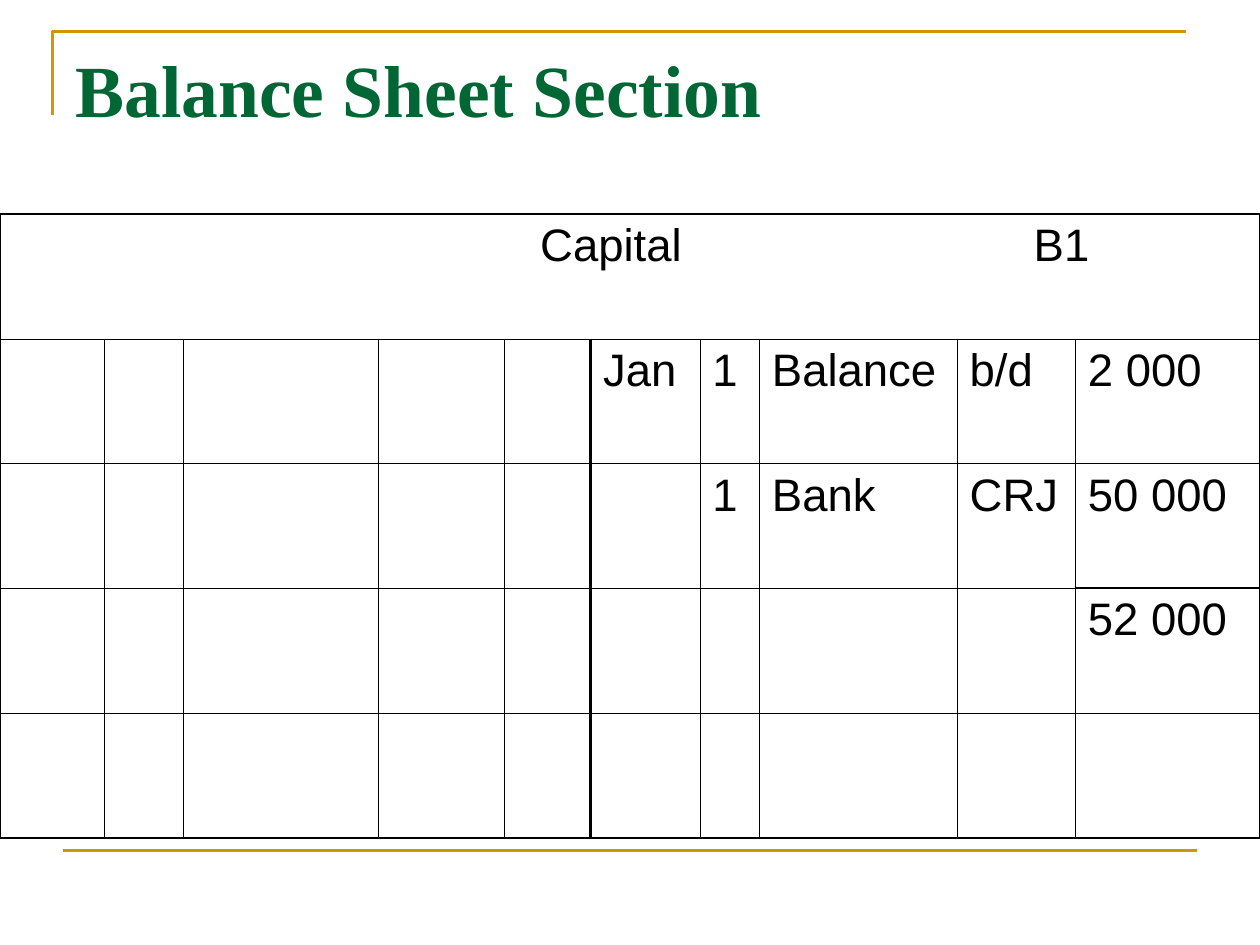
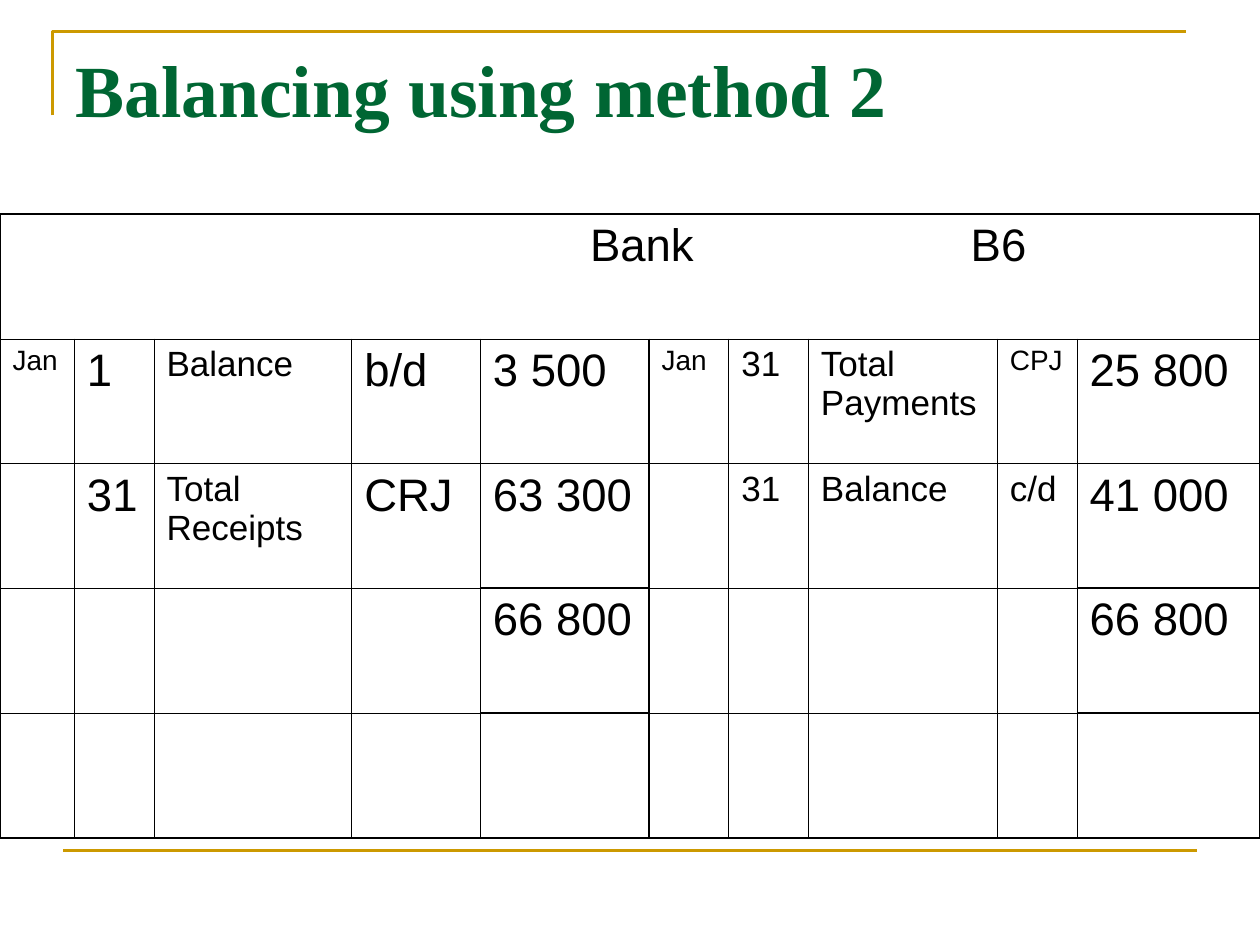
import pptx
import pptx.dml.color
import pptx.enum.shapes
import pptx.enum.text
import pptx.oxml
import pptx.oxml.ns
import pptx.util
from lxml import etree

Pt = pptx.util.Pt
qn = pptx.oxml.ns.qn
GOLD = pptx.dml.color.RGBColor(0xCC, 0x99, 0x00)
GREEN = pptx.dml.color.RGBColor(0x00, 0x66, 0x33)
BLACK = pptx.dml.color.RGBColor(0x00, 0x00, 0x00)

TITLE_FONT = {"name": "Times New Roman", "size": Pt(42), "bold": True}
CELL_FONT = {"name": "Arial", "size": Pt(26), "bold": False}

PAGE_BOX = (0, 0, 720, 540)
TITLE_BOX = (36, 21.6, 648, 90)
LEDGER_BOX = (0, 122.4, 720, 356.4)
ROWS, COLUMNS, CREDIT_SIDE = 5, 10, 5
THIN, OUTER, MIDDLE = 0.45, 1.08, 1.47

# Ledger accounts: entries are (row, column): text or (text, size)
CAPITAL = {
    "title": "Balance Sheet Section",
    "heading": "\tCapital\tB1",
    "tabs": (301.5, 583.5),
    "widths": (59.5, 45.5, 111, 72, 49.5, 62.5, 34, 113, 67.5, 105.5),
    "entries": {
        (1, 5): "Jan", (1, 6): "1", (1, 7): "Balance", (1, 8): "b/d", (1, 9): "2 000",
        (2, 6): "1", (2, 7): "Bank", (2, 8): "CRJ", (2, 9): "50 000",
        (3, 9): "52 000",
    },
    "total_lines": {(3, 9)},
}
BANK = {
    "title": "Balancing using method 2",
    "heading": "\tBank\tB6",
    "tabs": (330, 547.5),
    "widths": (42.5, 45.5, 113, 73.5, 96.5, 45.5, 45.5, 108, 45.5, 104.5),
    "entries": {
        (1, 0): ("Jan", 16), (1, 1): "1", (1, 2): ("Balance", 20),
        (1, 3): "b/d", (1, 4): "3 500",
        (1, 5): ("Jan", 16), (1, 6): ("31", 20), (1, 7): ("Total Payments", 20),
        (1, 8): ("CPJ", 16), (1, 9): "25 800",
        (2, 1): "31", (2, 2): ("Total Receipts", 20), (2, 3): "CRJ", (2, 4): "63 300",
        (2, 6): ("31", 20), (2, 7): ("Balance", 20), (2, 8): ("c/d", 20), (2, 9): "41 000",
        (3, 4): "66 800", (3, 9): "66 800",
    },
    "total_lines": {(row, column) for row in (3, 4) for column in (4, 9)},
}


def format_font(font, color, values):
    for name, value in values.items():
        setattr(font, name, value)
    font.color.rgb = color


def add_frame(page, box):
    """Gold corner above the title and gold rule at the foot."""
    left, top, width, height = box
    corner_left, corner_top = left + 30, top + 18
    builder = page.shapes.build_freeform(Pt(corner_left), Pt(corner_top + 48))
    builder.add_line_segments(
        [(Pt(corner_left), Pt(corner_top)), (Pt(corner_left + 648), Pt(corner_top))],
        close=False)
    corner = builder.convert_to_shape()
    corner.shadow.inherit = False
    corner.fill.background()

    rule_top = Pt(top + height - 54)
    rule = page.shapes.add_connector(
        pptx.enum.shapes.MSO_CONNECTOR.STRAIGHT,
        Pt(left + 36), rule_top, Pt(left + width - 36), rule_top)
    etree.SubElement(rule._element.spPr, qn("a:effectLst"))
    for shape in (corner, rule):
        shape.line.color.rgb = GOLD
        shape.line.width = Pt(1.5)


def add_title(page, box, text):
    title = page.shapes.title
    for name, value in zip(("left", "top", "width", "height"), box):
        setattr(title, name, Pt(value))
    frame = title.text_frame
    frame.auto_size = pptx.enum.text.MSO_AUTO_SIZE.NONE
    frame.vertical_anchor = pptx.enum.text.MSO_ANCHOR.TOP
    para = frame.paragraphs[0]
    para.alignment = pptx.enum.text.PP_ALIGN.LEFT
    span = para.add_run()
    span.text = text
    format_font(span.font, GREEN, TITLE_FONT)


def set_borders(cell, weights):
    """Draw the left, right, top and bottom lines, in that order."""
    properties = cell._tc.get_or_add_tcPr()
    for position, (side, weight) in enumerate(zip("LRTB", weights)):
        line = etree.Element(qn(f"a:ln{side}"), w=str(int(Pt(weight))))
        fill = etree.SubElement(line, qn("a:solidFill"))
        etree.SubElement(fill, qn("a:srgbClr"), val=str(BLACK))
        properties.insert(position, line)


def upright_weight(edge):
    return {0: OUTER, CREDIT_SIDE: MIDDLE, COLUMNS: OUTER}.get(edge, THIN)


def level_weight(edge, column, total_lines):
    return OUTER if edge in (0, ROWS) or (edge, column) in total_lines else THIN


def add_tabs(para, stops):
    tabs = etree.SubElement(para._p.get_or_add_pPr(), qn("a:tabLst"))
    for stop in stops:
        etree.SubElement(tabs, qn("a:tab"), pos=str(int(Pt(stop))), algn="l")


def write_cell(cell, entry):
    text, size = entry if isinstance(entry, tuple) else (entry, 26)
    span = cell.text_frame.paragraphs[0].add_run()
    span.text = text
    format_font(span.font, BLACK, {**CELL_FONT, "size": Pt(size)})


def add_ledger(page, box, account):
    table = page.shapes.add_table(ROWS, COLUMNS, *map(Pt, box)).table
    table.first_row = table.horz_banding = False
    for column, width in zip(table.columns, account["widths"]):
        column.width = Pt(width)
    for row in table.rows:
        row.height = Pt(box[3] / ROWS)

    # Account name and folio
    heading = table.cell(0, 0)
    heading.merge(table.cell(0, COLUMNS - 1))
    heading.fill.background()
    set_borders(heading, (OUTER, OUTER, OUTER, THIN))
    add_tabs(heading.text_frame.paragraphs[0], account["tabs"])
    write_cell(heading, account["heading"])

    # Debit and credit entries
    for row in range(1, ROWS):
        for column in range(COLUMNS):
            cell = table.cell(row, column)
            cell.fill.background()
            set_borders(cell, (
                upright_weight(column), upright_weight(column + 1),
                level_weight(row, column, account["total_lines"]),
                level_weight(row + 1, column, account["total_lines"])))
            if (row, column) in account["entries"]:
                write_cell(cell, account["entries"][row, column])


def add_account_page(deck, account):
    page = deck.slides.add_slide(deck.slide_layouts.get_by_name("Title Only"))
    add_frame(page, PAGE_BOX)
    add_title(page, TITLE_BOX, account["title"])
    add_ledger(page, LEDGER_BOX, account)


def main():
    deck = pptx.Presentation()
    deck.slide_width, deck.slide_height = Pt(PAGE_BOX[2]), Pt(PAGE_BOX[3])
    for account in (CAPITAL, BANK):
        add_account_page(deck, account)
    deck.save("out.pptx")


if __name__ == "__main__":
    main()
